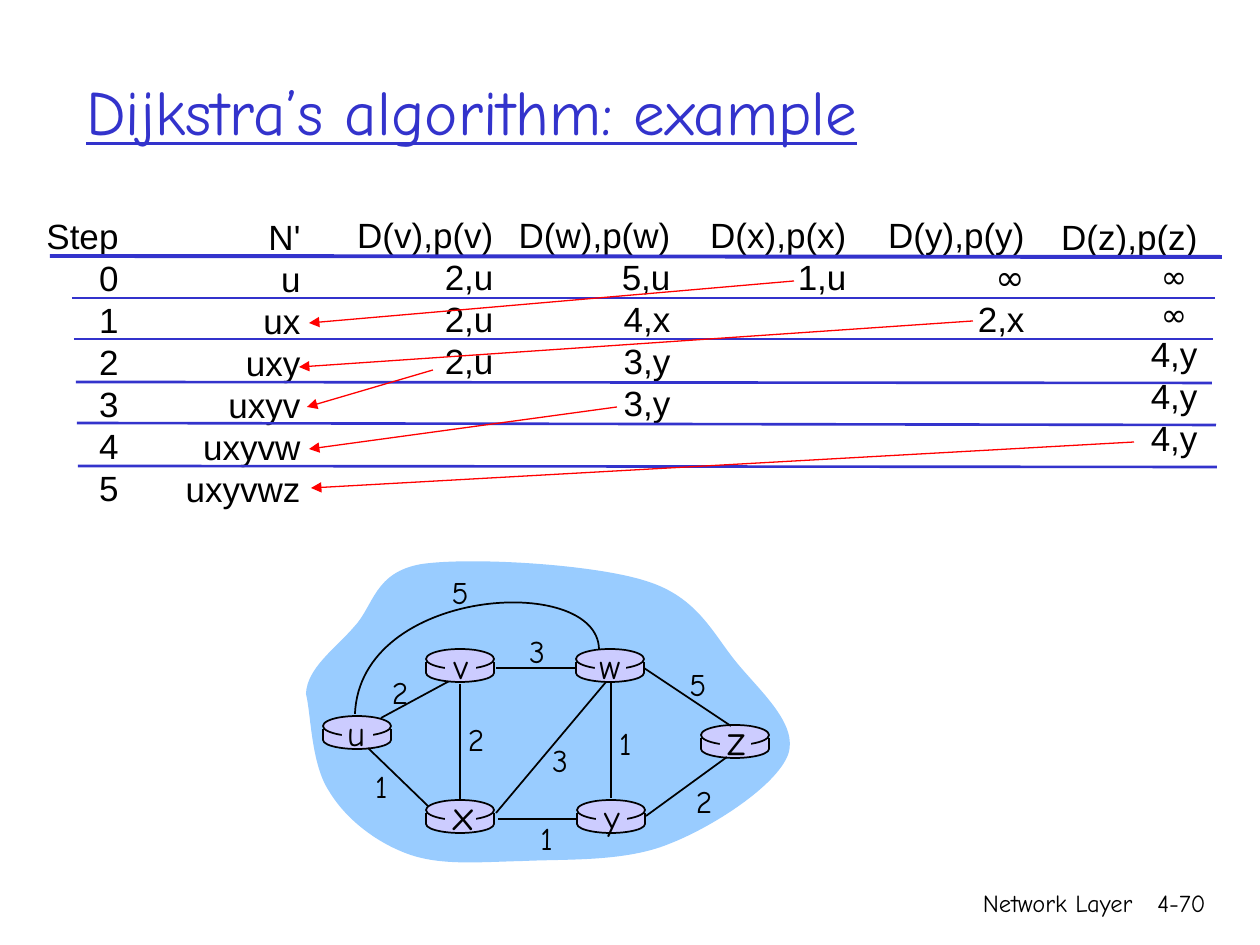
"""Build the slide that traces Dijkstra's algorithm on a six-node network."""
import pptx
import pptx.dml.color
import pptx.enum.shapes
import pptx.enum.text
import pptx.oxml
import pptx.oxml.ns
import pptx.util

RGB = pptx.dml.color.RGBColor
BLUE = RGB(0x33, 0x33, 0xCC)
BLACK = RGB(0, 0, 0)
RED = RGB(0xFF, 0, 0)
SKY = RGB(0x99, 0xCC, 0xFF)
LILAC = RGB(0xCC, 0xCC, 0xFF)
COMIC = "Comic Neue"
SHAPE = pptx.enum.shapes.MSO_SHAPE
ALIGN = pptx.enum.text.PP_ALIGN
PX = 914400 / 126

deck = pptx.Presentation()
deck.slide_width = round(1260 * PX)
deck.slide_height = round(945 * PX)
slide = deck.slides.add_slide(deck.slide_layouts[6])
shapes = slide.shapes


def write(box, rows, align, wrap=False, color=BLACK):
    area = shapes.add_textbox(*[round(n * PX) for n in box])
    frame = area.text_frame
    frame.word_wrap = wrap
    if not wrap:
        frame.auto_size = pptx.enum.text.MSO_AUTO_SIZE.SHAPE_TO_FIT_TEXT
    for i, (text, size, face) in enumerate(rows):
        para = frame.paragraphs[0] if i == 0 else frame.add_paragraph()
        para.alignment = align
        run = para.add_run()
        run.text = text
        run.font.size = pptx.util.Pt(size)
        run.font.name = face
        run.font.color.rgb = color
    return frame


def draw(ends, color=BLACK, width=1, arrow=False):
    kind = pptx.enum.shapes.MSO_CONNECTOR.STRAIGHT
    line = shapes.add_connector(kind, *[round(n * PX) for n in ends])
    line.line.color.rgb = color
    line.line.width = pptx.util.Pt(width)
    props = line._element.spPr
    if arrow:
        tip = pptx.oxml.parse_xml(
            f'<a:tailEnd {pptx.oxml.ns.nsdecls("a")} type="triangle"/>')
        line.line._get_or_add_ln().append(tip)
    props.append(pptx.oxml.parse_xml(f'<a:effectLst {pptx.oxml.ns.nsdecls("a")}/>'))


write((746, 882, 399, 63), [("Network Layer", 14, COMIC)], ALIGN.RIGHT, True)
write((1125, 882, 93, 63), [("4-70", 14, COMIC)], ALIGN.RIGHT, True)
title = write((74, 32, 1071, 157), [("Dijkstra’s algorithm: example", 36, COMIC)],
              ALIGN.LEFT, True, BLUE)
title.vertical_anchor = pptx.enum.text.MSO_ANCHOR.MIDDLE
title.paragraphs[0].runs[0].font.underline = True

columns = [
    (33, 208, 98, ["Step", "0", "1", "2", "3", "4", "5"]),
    (172, 209, 141, ["N'", "u", "ux", "uxy", "uxyv", "uxyvw", "uxyvwz"]),
    (343, 207, 163, ["D(v),p(v)", "2,u", "2,u", "2,u"]),
    (505, 207, 178, ["D(w),p(w)", "5,u", "4,x", "3,y", "3,y"]),
    (696, 207, 163, ["D(x),p(x)", "1,u"]),
    (874, 207, 163, ["D(y),p(y)", "∞", "2,x"]),
    (1047, 209, 163, ["D(z),p(z)", "∞ ", "∞ ", "4,y", "4,y", "4,y"]),
]
for left, top, wide, cells in columns:
    rows = [(cell, 18 if cell == "∞ " else 20, COMIC if "∞" in cell else "Arial")
            for cell in cells]
    write((left, top, wide, 13 + 42 * len(rows)), rows, ALIGN.RIGHT)

draw((50, 256, 1222, 257), BLUE, 2.25)
for ends in [(72, 298, 1215, 298), (74, 339, 1213, 339), (76, 382, 1212, 383),
             (77, 423, 1216, 425), (78, 466, 1217, 467)]:
    draw(ends, BLUE, 1.5)

cloud = [
    (306, 694), (307, 668), (335, 649), (354, 627), (374, 606), (374, 572), (422, 564),
    (471, 557), (593, 564), (646, 581), (698, 597), (713, 634), (737, 663),
    (761, 692), (799, 725), (788, 755), (776, 786), (713, 827), (669, 844),
    (625, 862), (567, 859), (524, 861), (480, 862), (441, 866), (408, 854),
    (375, 842), (345, 818), (329, 791), (311, 764), (311, 713), (306, 694),
]
arc = [(599, 649), (597, 573), (360, 587), (355, 714)]
for curve, closed in [(cloud, True), (arc, False)]:
    pen = shapes.build_freeform(*curve[0], PX)
    pen.add_line_segments(curve[1:], close=closed)
    form = pen.convert_to_shape()
    legs = form._element.findall(".//" + pptx.oxml.ns.qn("a:lnTo"))
    for i in range(0, len(curve) - 1, 3):
        bend = pptx.oxml.parse_xml(f'<a:cubicBezTo {pptx.oxml.ns.nsdecls("a")}/>')
        legs[i].addprevious(bend)
        for leg in legs[i:i + 3]:
            bend.append(leg[0])
            leg.getparent().remove(leg)
    form.shadow.inherit = False
    if closed:
        form.fill.solid()
        form.fill.fore_color.rgb = SKY
        form.line.fill.background()
    else:
        form.fill.background()
        form.line.color.rgb = BLACK
        form.line.width = pptx.util.Pt(1)

draw((381, 718, 455, 678))
nodes = [("u", 323, 716, 20, 356), ("x", 426, 800, 24, 463), ("v", 426, 649, 20, 461),
         ("w", 576, 649, 20, 610), ("y", 577, 800, 20, 612), ("z", 701, 725, 24, 737)]
for name, left, top, size, mid in nodes:
    parts = [(SHAPE.OVAL, 0, 15, 68, 18), (SHAPE.RECTANGLE, 0, 13, 68, 11),
             (SHAPE.OVAL, 0, 0, 68, 20), (SHAPE.RECTANGLE, 19, 2, 31, 29)]
    for kind, x, y, wide, high in parts:
        part = shapes.add_shape(
            kind, *[round(n * PX) for n in (left + x, top + y, wide, high)])
        part.shadow.inherit = False
        part.fill.solid()
        part.fill.fore_color.rgb = LILAC
        if kind == SHAPE.OVAL:
            part.line.color.rgb = BLACK
            part.line.width = pptx.util.Pt(1)
        else:
            part.line.fill.background()
    for x in (left, left + 68):
        draw((x, top + 13, x, top + 24))
    drop, high = (11, 54) if size == 20 else (18, 63)
    write((mid - 23, top - drop, 46, high), [(name, size, COMIC)], ALIGN.CENTER)

for ends in [(611, 683, 611, 798), (460, 684, 460, 801), (496, 813, 606, 682),
             (646, 816, 727, 757), (577, 819, 498, 819), (428, 806, 368, 748),
             (576, 668, 496, 668), (731, 726, 644, 668)]:
    draw(ends)

for cost, left, top in [
        ("2", 378, 667), ("2", 454, 714), ("1", 362, 761), ("3", 538, 735),
        ("1", 527, 813), ("1", 606, 718), ("2", 682, 776), ("5", 676, 659),
        ("3", 515, 626), ("5", 438, 567)]:
    write((left, top, 39 if cost == "1" else 44, 50), [(cost, 18, COMIC)], ALIGN.CENTER)

for ends in [(794, 281, 309, 323), (973, 321, 299, 367), (433, 370, 307, 407),
             (617, 407, 309, 449), (1134, 442, 311, 488)]:
    draw(ends, RED, 0.75, True)

deck.save("out.pptx")
